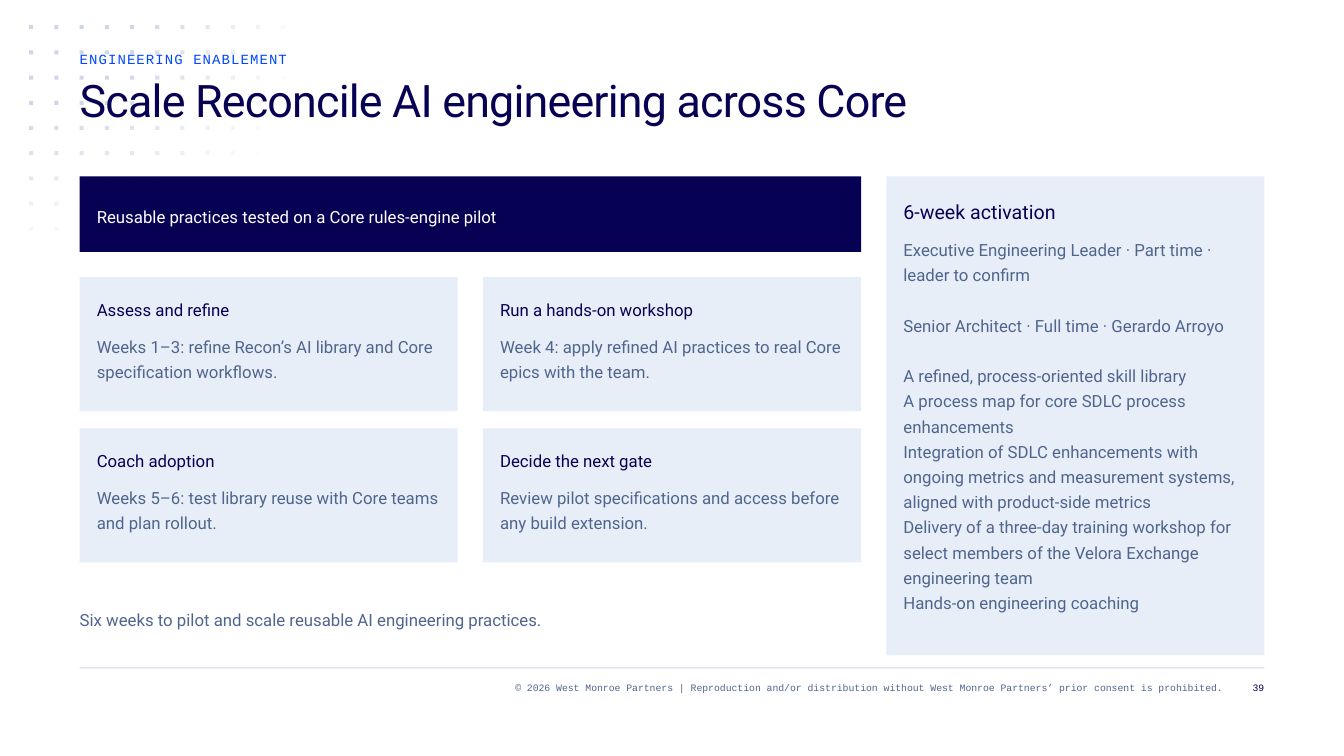
from itertools import product
from math import hypot

from lxml.etree import SubElement
from pptx import Presentation
from pptx.dml.color import RGBColor
from pptx.enum.shapes import MSO_SHAPE as Preset
from pptx.enum.text import MSO_ANCHOR as Anchor, MSO_AUTO_SIZE as AutoSize, PP_ALIGN as Align
from pptx.oxml.ns import qn
from pptx.util import Inches, Pt

NAVY = RGBColor(0x07, 0x01, 0x54)
BLUE = RGBColor(0x00, 0x47, 0xFF)
SLATE = RGBColor(0x50, 0x65, 0x8E)
MIST = RGBColor(0xCE, 0xD7, 0xE6)
PALE = RGBColor(0xE8, 0xEE, 0xF8)
WHITE = RGBColor(0xFF, 0xFF, 0xFF)

SANS = "Roboto"
MONO = "Courier New"

LEFT = 0.79
SIDE = 8.79
PAD = 0.17
CARD_WIDTH = 3.75
CARD_HEIGHT = 1.33
TEXT_WIDTH = 3.42

CARDS = [
    ("Assess and refine",
     "Weeks 1–3: refine Recon’s AI library and Core specification workflows."),
    ("Run a hands-on workshop",
     "Week 4: apply refined AI practices to real Core epics with the team."),
    ("Coach adoption",
     "Weeks 5–6: test library reuse with Core teams and plan rollout."),
    ("Decide the next gate",
     "Review pilot specifications and access before any build extension."),
]

ACTIVATION = [
    ("Executive Engineering Leader · Part time · leader to confirm", 0),
    ("Senior Architect · Full time · Gerardo Arroyo", 18),
    ("A refined, process-oriented skill library", 18),
    ("A process map for core SDLC process enhancements", 0),
    ("Integration of SDLC enhancements with ongoing metrics and measurement systems, "
     "aligned with product-side metrics", 0),
    ("Delivery of a three-day training workshop for select members of the "
     "Velora Exchange engineering team", 0),
    ("Hands-on engineering coaching", 0),
]


class Painter:
    def __init__(self, page):
        self.page = page

    def panel(self, left, top, width, height, color, opacity=100):
        shape = self.page.shapes.add_shape(
            Preset.RECTANGLE, Inches(left), Inches(top), Inches(width), Inches(height))
        shape.shadow.inherit = False
        shape.line.fill.background()
        shape.fill.solid()
        shape.fill.fore_color.rgb = color
        if opacity < 100:
            tint = shape.element.spPr.find(qn("a:solidFill"))[0]
            SubElement(tint, qn("a:alpha"), val=str(opacity * 1000))

    def set_text(self, box, lines, size, color, leading, font=SANS, align=Align.LEFT, tracking=0):
        frame = box.text_frame
        frame.word_wrap = True
        frame.auto_size = AutoSize.NONE
        frame.vertical_anchor = Anchor.TOP
        frame.margin_left = frame.margin_right = 0
        frame.margin_top = frame.margin_bottom = 0
        for index, (text, before) in enumerate(lines):
            para = frame.add_paragraph() if index else frame.paragraphs[0]
            para.alignment = align
            para.line_spacing = Pt(leading)
            para.space_before = Pt(before)
            span = para.add_run()
            span.text = text
            span.font.name = font
            span.font.size = Pt(size)
            span.font.color.rgb = color
            if tracking:
                span.font._element.set("spc", str(tracking))

    def label(self, left, top, width, height, text, color=SLATE, size=12, leading=18, **style):
        box = self.page.shapes.add_textbox(
            Inches(left), Inches(top), Inches(width), Inches(height))
        self.set_text(box, [(text, 0)], size, color, leading, **style)

    def placeholder(self, box, left, top, width, height, lines, size, color, leading, **style):
        box.left, box.top = Inches(left), Inches(top)
        box.width, box.height = Inches(width), Inches(height)
        box.element.getparent().append(box.element)
        self.set_text(box, lines, size, color, leading, **style)
        for para in box.text_frame.paragraphs:
            settings = para._p.get_or_add_pPr()
            settings.set("marL", "0")
            settings.set("indent", "0")
            SubElement(settings, qn("a:buNone"))

    def dots(self):
        for column, row in product(range(11), range(9)):
            opacity = min(100, round(153 * (1 - hypot(column / 11.08, row / 9.07))))
            if opacity > 0 and (row < 7 or column < 3):
                self.panel(0.29 + column / 4, 0.25 + row / 4, 0.04, 0.04, MIST, opacity)

    def card(self, left, top, heading, detail):
        self.panel(left, top, CARD_WIDTH, CARD_HEIGHT, PALE)
        self.label(left + PAD, top + PAD, TEXT_WIDTH, 0.25, heading, NAVY)
        self.label(left + PAD, top + 0.54, TEXT_WIDTH, 0.5, detail)


def main():
    deck = Presentation()
    deck.slide_width, deck.slide_height = Inches(13.33), Inches(7.5)
    page = deck.slides.add_slide(deck.slide_layouts[1])
    painter = Painter(page)

    painter.panel(LEFT, 6.62, 11.75, 0.01, MIST)
    painter.dots()
    footer = {"size": 7, "leading": 9, "font": MONO, "align": Align.RIGHT}
    painter.label(2.38, 6.75, 9.75, 0.25,
                  "© 2026 West Monroe Partners | Reproduction and/or distribution without "
                  "West Monroe Partners’ prior consent is prohibited.", **footer)
    painter.label(12.21, 6.75, 0.33, 0.25, "39", NAVY, **footer)

    painter.panel(LEFT, 1.75, 7.75, 0.75, NAVY)
    painter.label(LEFT + PAD, 2, 7.42, 0.25,
                  "Reusable practices tested on a Core rules-engine pilot", WHITE)
    for index, (heading, detail) in enumerate(CARDS):
        row, column = divmod(index, 2)
        painter.card(LEFT + 4 * column, 2.75 + 1.5 * row, heading, detail)

    painter.panel(SIDE, 1.75, CARD_WIDTH, 4.75, PALE)
    painter.label(SIDE + PAD, 1.92, TEXT_WIDTH, 0.29, "6-week activation", NAVY, 14, 21)
    painter.placeholder(page.placeholders[1], SIDE + PAD, 2.33, TEXT_WIDTH, 3.75,
                        ACTIVATION, 12, SLATE, 18)

    painter.label(LEFT, 6, 7.75, 0.5,
                  "Six weeks to pilot and scale reusable AI engineering practices.")
    painter.placeholder(page.shapes.title, LEFT, 0.75, 10.25, 1,
                        [("Scale Reconcile AI engineering across Core", 0)],
                        32, NAVY, 36, tracking=-60)
    painter.label(LEFT, 0.5, 10.25, 0.25, "ENGINEERING ENABLEMENT", BLUE, 10, 12,
                  font=MONO, tracking=80)

    deck.save("out.pptx")


if __name__ == "__main__":
    main()
